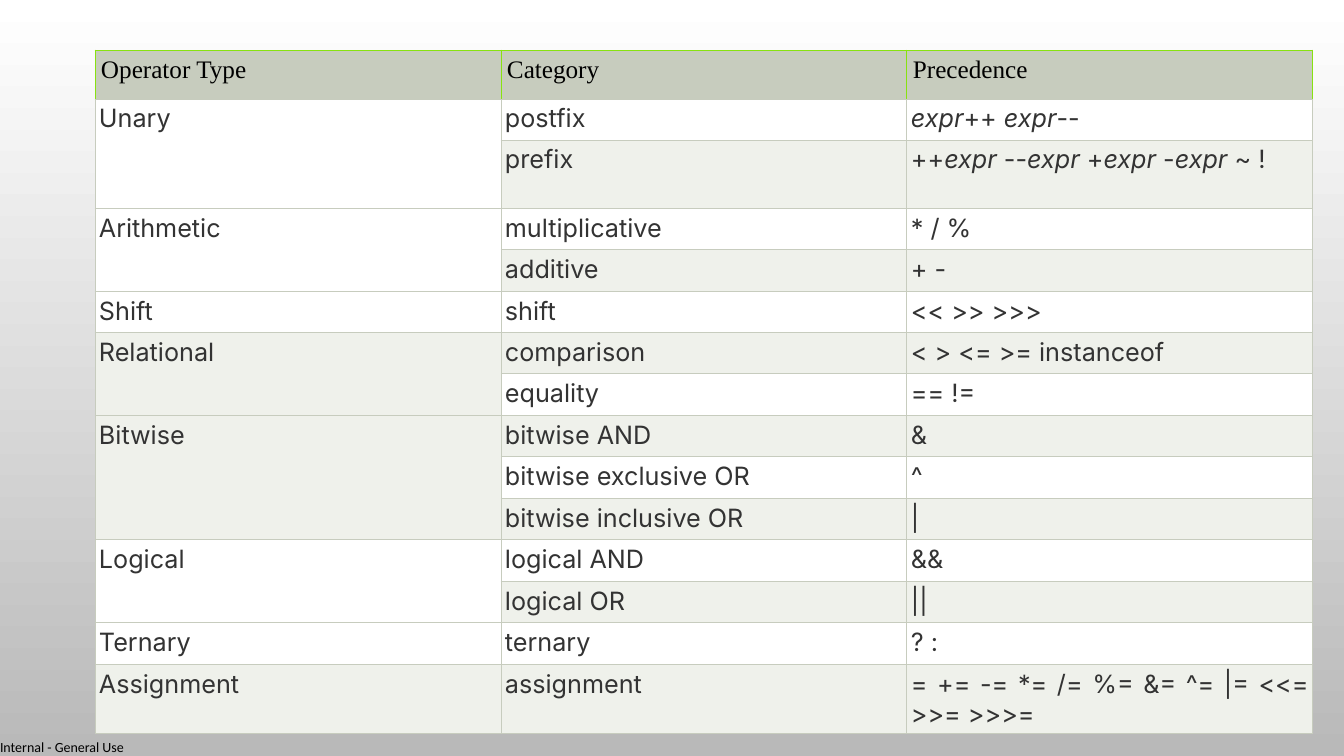
from itertools import pairwise

from lxml import etree
from pptx import Presentation
from pptx.dml.color import RGBColor
from pptx.enum.text import MSO_ANCHOR, PP_ALIGN
from pptx.oxml.ns import qn
from pptx.util import Pt

EMU_PER_PX = 914400 / 100.8
LEFT, JUSTIFY = PP_ALIGN.LEFT, PP_ALIGN.JUSTIFY
TOP = MSO_ANCHOR.TOP

BLACK = RGBColor(0x00, 0x00, 0x00)
WHITE = RGBColor(0xFF, 0xFF, 0xFF)
INK = RGBColor(0x33, 0x33, 0x33)
SAGE = RGBColor(0xC7, 0xCC, 0xBE)
PALE_SAGE = RGBColor(0xEF, 0xF1, 0xEB)
LIME = RGBColor(0x88, 0xE2, 0x11)
GREY = RGBColor(0xB9, 0xB9, 0xB9)

HEADINGS = ["Operator Type", "Category", "Precedence"]
OPERATORS = [
    ("Unary", [("postfix", "expr++ expr--"),
               ("prefix", "++expr --expr +expr -expr ~ !")]),
    ("Arithmetic", [("multiplicative", "* / %"), ("additive", "+ -")]),
    ("Shift", [("shift", "<< >> >>>")]),
    ("Relational", [("comparison", "< > <= >= instanceof"),
                    ("equality", "== !=")]),
    ("Bitwise", [("bitwise AND", "&"), ("bitwise exclusive OR", "^"),
                 ("bitwise inclusive OR", "|")]),
    ("Logical", [("logical AND", "&&"), ("logical OR", "||")]),
    ("Ternary", [("ternary", "? :")]),
    ("Assignment", [("assignment", "= += -= *= /= %= &= ^= |= <<= >>= >>>=")]),
]
TABLE_LEFT, COLUMN_WIDTH = 95, 406
ROW_EDGES = [50, 99, 140, 209, 250, 292, 333, 374, 416, 457, 499, 540, 582,
             623, 665, 733]


def px(length):
    return round(length * EMU_PER_PX)


def write(frame, text, *, font, size, color, align=LEFT, italic_word="expr"):
    """Fill the frame with one paragraph, setting italic_word in italics."""
    para = frame.paragraphs[0]
    para.alignment = align
    for index, part in enumerate(text.split(italic_word)):
        for words, italic in ((italic_word, True), (part, False)):
            if not words or (italic and index == 0):
                continue
            span = para.add_run()
            span.text = words
            span.font.name = font
            span.font.size = Pt(size)
            span.font.color.rgb = color
            span.font.bold = False
            span.font.italic = italic


class SlideBuilder:
    header_style = dict(font="Times New Roman", size=18, color=BLACK)
    body_style = dict(font="Inter", size=18, color=INK, align=JUSTIFY)
    footer_style = dict(font="Calibri", size=10, color=BLACK)

    def __init__(self, page):
        self.page = page

    def background(self, top_color, bottom_color):
        fill = self.page.background.fill
        fill.gradient()
        fill.gradient_angle = 270
        for stop, color in zip(fill.gradient_stops, (top_color, bottom_color)):
            stop.color.rgb = color

    def label(self, text, left, top, width, height):
        box = self.page.shapes.add_textbox(px(left), px(top), px(width), px(height))
        frame = box.text_frame
        frame.word_wrap = False
        frame.margin_left = frame.margin_right = 0
        frame.margin_top = frame.margin_bottom = 0
        write(frame, text, **self.footer_style)

    def table(self, left, column_width, column_count, row_edges):
        top, bottom = row_edges[0], row_edges[-1]
        table = self.page.shapes.add_table(
            len(row_edges) - 1, column_count, px(left), px(top),
            px(column_width * column_count), px(bottom - top)).table
        table.first_row = table.horz_banding = False
        for column in table.columns:
            column.width = px(column_width)
        for row, (upper, lower) in zip(table.rows, pairwise(row_edges)):
            row.height = px(lower - upper)
        return table

    def cell(self, cell, text, *, fill, edge, bottom_edge, margin, style):
        cell.margin_left = cell.margin_right = px(margin)
        cell.margin_top = cell.margin_bottom = px(margin)
        cell.vertical_anchor = TOP
        self.borders(cell, lnL=edge, lnR=edge, lnT=edge, lnB=bottom_edge)
        cell.fill.solid()
        cell.fill.fore_color.rgb = fill
        if text:
            write(cell.text_frame, text, **style)

    def borders(self, cell, **colors):
        properties = cell._tc.get_or_add_tcPr()
        for side, color in colors.items():
            line = etree.SubElement(properties, qn(f"a:{side}"), w=str(Pt(0.75)))
            solid = etree.SubElement(line, qn("a:solidFill"))
            etree.SubElement(solid, qn("a:srgbClr"), val=str(color))

    def header_cell(self, cell, text):
        self.cell(cell, text, fill=SAGE, edge=LIME, bottom_edge=SAGE,
                  margin=6, style=self.header_style)

    def body_cell(self, cell, text, fill):
        self.cell(cell, text, fill=fill, edge=SAGE, bottom_edge=SAGE,
                  margin=4, style=self.body_style)


def main():
    deck = Presentation()
    deck.slide_width, deck.slide_height = px(1344), px(756)
    builder = SlideBuilder(deck.slides.add_slide(deck.slide_layouts[6]))
    builder.background(WHITE, GREY)

    # Footer
    builder.label("Internal - General Use", 0, 739, 128, 17)

    # Table header
    table = builder.table(TABLE_LEFT, COLUMN_WIDTH, len(HEADINGS), ROW_EDGES)
    for column, heading in enumerate(HEADINGS):
        builder.header_cell(table.cell(0, column), heading)

    # Operator rows, with the type merged down its group
    row = 1
    for operator_type, entries in OPERATORS:
        first_row = row
        for category, symbols in entries:
            type_text = operator_type if row == first_row else ""
            fill = WHITE if row % 2 else PALE_SAGE
            for column, text in enumerate((type_text, category, symbols)):
                builder.body_cell(table.cell(row, column), text, fill)
            row += 1
        if len(entries) > 1:
            table.cell(first_row, 0).merge(table.cell(row - 1, 0))

    deck.save("out.pptx")


if __name__ == "__main__":
    main()
